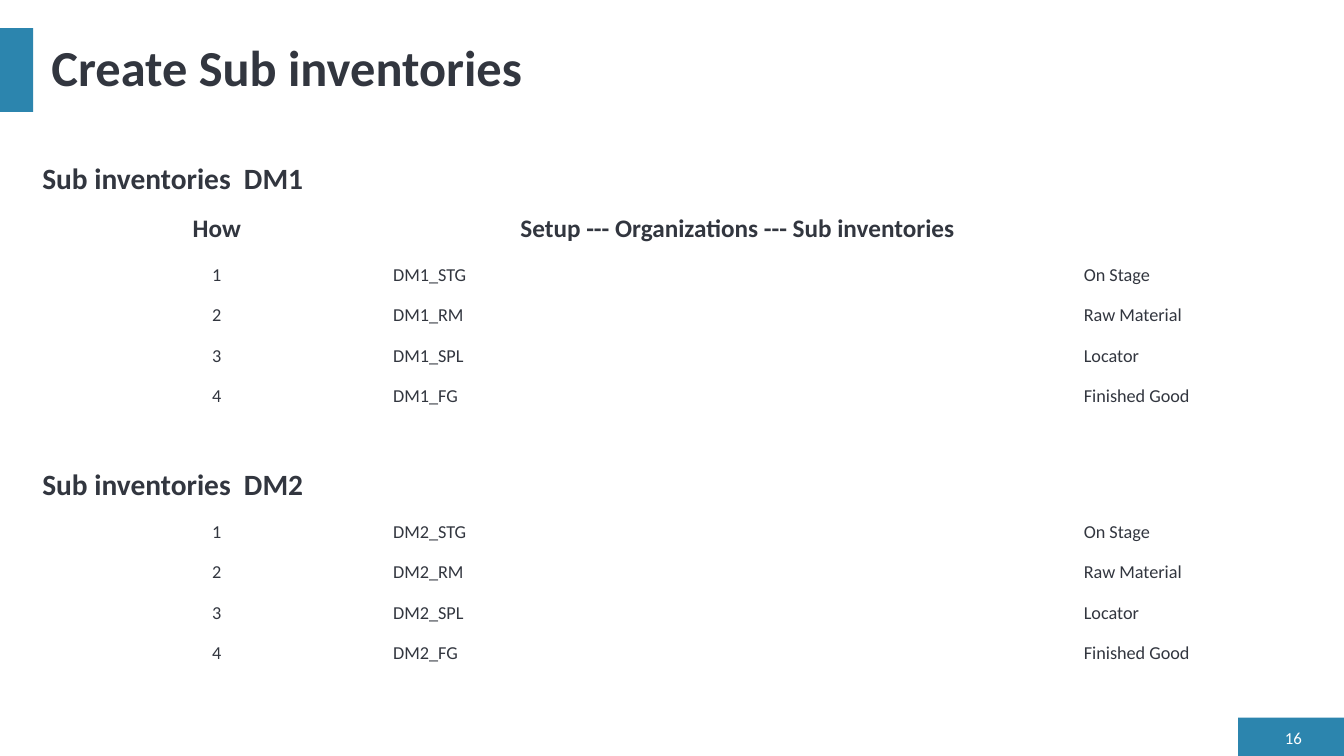
from pptx import Presentation
from pptx.dml.color import RGBColor
from pptx.enum.shapes import MSO_SHAPE
from pptx.enum.text import MSO_ANCHOR, PP_ALIGN
from pptx.util import Inches, Pt

RECTANGLE = MSO_SHAPE.RECTANGLE
MIDDLE, BOTTOM = MSO_ANCHOR.MIDDLE, MSO_ANCHOR.BOTTOM
LEFT, CENTER, RIGHT = PP_ALIGN.LEFT, PP_ALIGN.CENTER, PP_ALIGN.RIGHT
FONT, BLUE, DARK, WHITE = "Calibri", "2C85AE", "32363F", "FFFFFF"

COLUMN_WIDTHS = (3.48, 6.85, 2.27)
HEADING_HEIGHT, HOW_HEIGHT, ITEM_HEIGHT, GAP_HEIGHT = 0.52, 0.48, 0.4, 0.43
SUB_INVENTORIES = (
    ("STG", "On Stage"),
    ("RM", "Raw Material"),
    ("SPL", "Locator"),
    ("FG", "Finished Good"),
)


def color(hex_code):
    return RGBColor.from_string(hex_code)


def write(frame, text, size=13, bold=False, ink=DARK, align=LEFT, spacing=None):
    paragraph = frame.paragraphs[0]
    paragraph.alignment = align
    paragraph.line_spacing = spacing
    run = paragraph.add_run()
    run.text = text
    run.font.name = FONT
    run.font.size = Pt(size)
    run.font.bold = bold
    run.font.color.rgb = color(ink)


def place(shape, left, top, width, height):
    shape.left, shape.top = Inches(left), Inches(top)
    shape.width, shape.height = Inches(width), Inches(height)


def add_block(slide, left, top, width, height):
    block = slide.shapes.add_shape(
        RECTANGLE, Inches(left), Inches(top), Inches(width), Inches(height))
    block.shadow.inherit = False
    block.fill.solid()
    block.fill.fore_color.rgb = color(BLUE)
    block.line.fill.background()


def add_title(slide, text):
    title = slide.shapes.title
    place(title, 0.41, 0.28, 12.6, 0.83)
    title.text_frame.vertical_anchor = MIDDLE
    write(title.text_frame, text, size=36, bold=True, spacing=0.9)


def add_page_number(slide, number):
    box = slide.shapes.add_textbox(
        Inches(12.6), Inches(7.2), Inches(0.41), Inches(0.23))
    box.text_frame.word_wrap = True
    box.text_frame.vertical_anchor = MIDDLE
    write(box.text_frame, number, size=12, ink=WHITE, align=RIGHT)


def fill_cell(cell, text, anchor=BOTTOM, **text_format):
    cell.margin_left = cell.margin_right = Inches(0.01)
    cell.margin_top = cell.margin_bottom = Inches(0.07)
    cell.vertical_anchor = anchor
    write(cell.text_frame, text, **text_format)


def inventory_rows(organization):
    """Heading and numbered items of one organization: (height, texts, formats)."""
    heading = {"size": 21, "bold": True}
    rows = [(HEADING_HEIGHT, (f"Sub inventories  {organization}",), (heading,))]
    for number, (suffix, purpose) in enumerate(SUB_INVENTORIES, start=1):
        texts = (str(number), f"{organization}_{suffix}", purpose)
        rows.append((ITEM_HEIGHT, texts, ({"align": CENTER}, {}, {})))
    return rows


def add_inventory_table(slide, rows):
    frame = slide.shapes.add_table(
        len(rows), len(COLUMN_WIDTHS), Inches(0.41), Inches(1.51),
        Inches(sum(COLUMN_WIDTHS)), Inches(sum(row[0] for row in rows)))
    table = frame.table
    table.first_row = False
    table.horz_banding = False
    for column, width in zip(table.columns, COLUMN_WIDTHS):
        column.width = Inches(width)
    for table_row, (height, texts, formats) in zip(table.rows, rows):
        table_row.height = Inches(height)
        for cell in table_row.cells:
            cell.fill.background()
        for cell, text, text_format in zip(table_row.cells, texts, formats):
            fill_cell(cell, text, **text_format)


def main():
    deck = Presentation()
    deck.slide_width, deck.slide_height = Inches(13.33), Inches(7.5)
    slide = deck.slides.add_slide(deck.slide_layouts[5])

    # Blue blocks, title and page number
    add_block(slide, 12.28, 7.12, 1.05, 0.38)
    add_block(slide, 0, 0.28, 0.33, 0.83)
    add_title(slide, "Create Sub inventories")
    add_page_number(slide, "16")

    # Both organizations in one table, with the menu path under the first heading
    menu_format = {"size": 18, "bold": True, "align": CENTER, "anchor": MIDDLE}
    menu_texts = ("How", "Setup --- Organizations --- Sub inventories")
    menu_row = (HOW_HEIGHT, menu_texts, (menu_format, menu_format))
    gap_row = (GAP_HEIGHT, (), ())
    heading, *items = inventory_rows("DM1")
    add_inventory_table(
        slide, [heading, menu_row, *items, gap_row, *inventory_rows("DM2")])

    deck.save("out.pptx")


if __name__ == "__main__":
    main()
